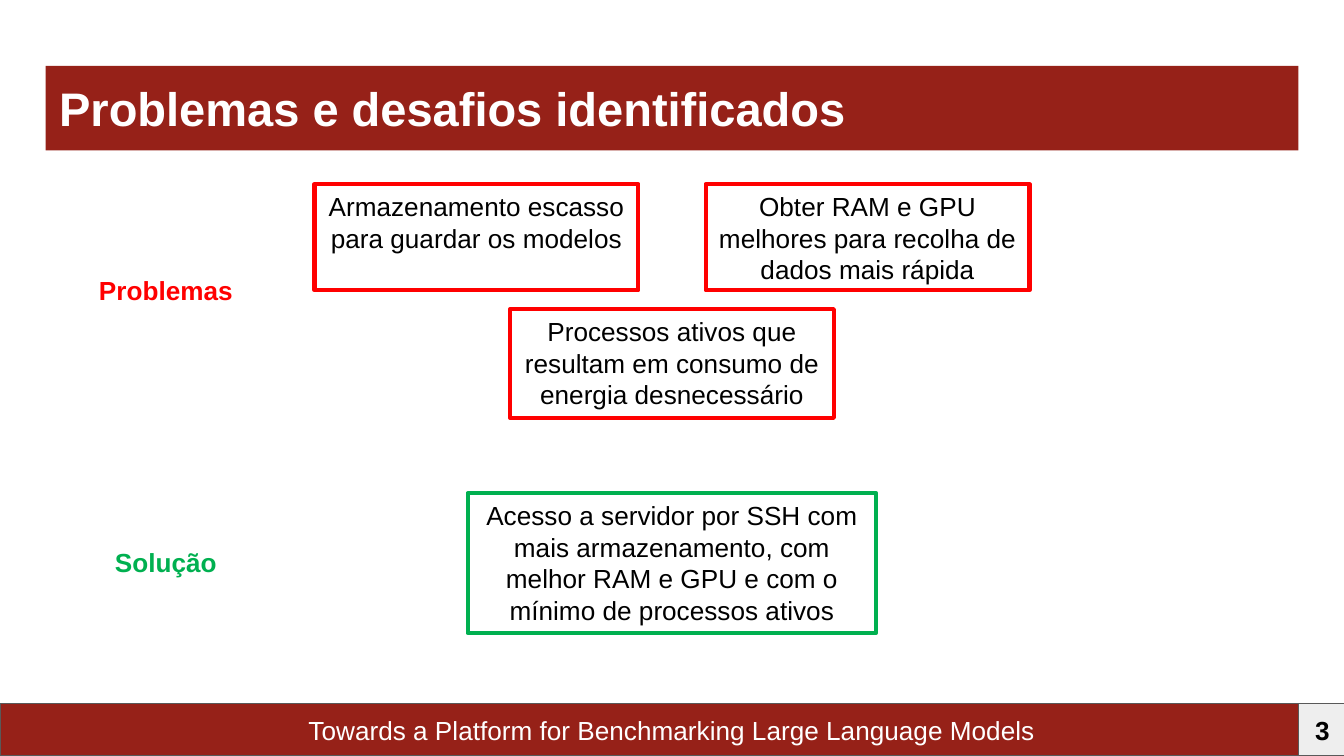
from pptx import Presentation
from pptx.dml.color import RGBColor
from pptx.enum.shapes import MSO_SHAPE
from pptx.enum.text import MSO_ANCHOR as Anchor, MSO_AUTO_SIZE as AutoSize, PP_ALIGN as Align
from pptx.util import Inches, Pt

THEME = {
    "font": "Arial",
    "title_size": 25.2,
    "body_size": 14,
    "maroon": "962118",
    "red": "FF0000",
    "green": "00B050",
    "grey": "EEEEEE",
    "border": "595959",
    "black": "000000",
    "white": "FFFFFF",
}
PAGE_WIDTH = 10
PAGE_HEIGHT = PAGE_WIDTH * 9 / 16
LABEL_LEFT, LABEL_WIDTH, LABEL_HEIGHT = 0.03, 2.41, 0.34
FOOTER_HEIGHT = 0.39
FOOTER_TOP = PAGE_HEIGHT - FOOTER_HEIGHT
BOX_WIDTH, BOX_GAP = 2.41, 0.5

TITLE = "Problemas e desafios identificados"
FOOTER = "Towards a Platform for Benchmarking Large Language Models"
PAGE_NUMBER = "3"

# Label text, label top, colour
LABELS = [("Problemas", 1.99, "red"), ("Solução", 4.02, "green")]

# Each row is centred on the page: top, height, box width, colour, texts
ROWS = [
    (1.37, 0.79, BOX_WIDTH, "red", [
        "Armazenamento escasso para guardar os modelos",
        "Obter RAM e GPU melhores para recolha de dados mais rápida",
    ]),
    (2.3, 0.81, BOX_WIDTH, "red", [
        "Processos ativos que resultam em consumo de energia desnecessário",
    ]),
    (3.67, 1.04, 3.04, "green", [
        "Acesso a servidor por SSH com mais armazenamento, com melhor RAM e GPU "
        "e com o mínimo de processos ativos",
    ]),
]


def color(name):
    return RGBColor.from_string(THEME[name])


def write(shape, text, ink, size="body_size", bold=False, align=Align.CENTER,
          anchor=Anchor.TOP, inset=0.05, auto_size=AutoSize.NONE):
    frame = shape.text_frame
    frame.word_wrap = True
    frame.auto_size = auto_size
    frame.vertical_anchor = anchor
    frame.margin_left = frame.margin_right = Inches(0.1)
    frame.margin_top = frame.margin_bottom = Inches(inset)
    frame.text = text
    para = frame.paragraphs[0]
    para.alignment = align
    font = para.runs[0].font
    font.name, font.size, font.bold = THEME["font"], Pt(THEME[size]), bold
    font.color.rgb = color(ink)


def add_box(page, left, top, width, height, line, line_width, fill=None):
    box = page.shapes.add_shape(
        MSO_SHAPE.RECTANGLE, Inches(left), Inches(top), Inches(width), Inches(height))
    box.shadow.inherit = False
    if fill:
        box.fill.solid()
        box.fill.fore_color.rgb = color(fill)
    else:
        box.fill.background()
    box.line.color.rgb = color(line)
    box.line.width = Pt(line_width)
    return box


def add_title(page):
    title = page.shapes.title
    title.left, title.top = Inches(0.34), Inches(0.49)
    title.width, title.height = Inches(9.32), Inches(0.63)
    title.fill.solid()
    title.fill.fore_color.rgb = color("maroon")
    write(title, TITLE, "white", "title_size", bold=True, align=Align.LEFT, inset=0.1)


def add_footer(page):
    bar = add_box(page, 0, FOOTER_TOP, PAGE_WIDTH, FOOTER_HEIGHT, "border", 0.75, "maroon")
    write(bar, FOOTER, "white", anchor=Anchor.MIDDLE, inset=0.1)
    number = add_box(page, 9.66, FOOTER_TOP, 0.36, FOOTER_HEIGHT, "border", 0.75, "grey")
    write(number, PAGE_NUMBER, "black", bold=True, anchor=Anchor.MIDDLE, inset=0.1)


def add_rows(page):
    for top, height, width, line, texts in ROWS:
        step = width + BOX_GAP
        start = (PAGE_WIDTH - len(texts) * step + BOX_GAP) / 2
        for index, text in enumerate(texts):
            box = add_box(page, start + index * step, top, width, height, line, 2.25)
            write(box, text, "black", auto_size=AutoSize.SHAPE_TO_FIT_TEXT)


def add_labels(page):
    for text, top, ink in LABELS:
        label = page.shapes.add_textbox(
            Inches(LABEL_LEFT), Inches(top), Inches(LABEL_WIDTH), Inches(LABEL_HEIGHT))
        write(label, text, ink, bold=True, auto_size=AutoSize.SHAPE_TO_FIT_TEXT)


def main():
    deck = Presentation()
    deck.slide_width, deck.slide_height = Inches(PAGE_WIDTH), Inches(PAGE_HEIGHT)
    page = deck.slides.add_slide(deck.slide_layouts[5])
    add_title(page)
    add_footer(page)
    add_rows(page)
    add_labels(page)
    deck.save("out.pptx")


if __name__ == "__main__":
    main()
